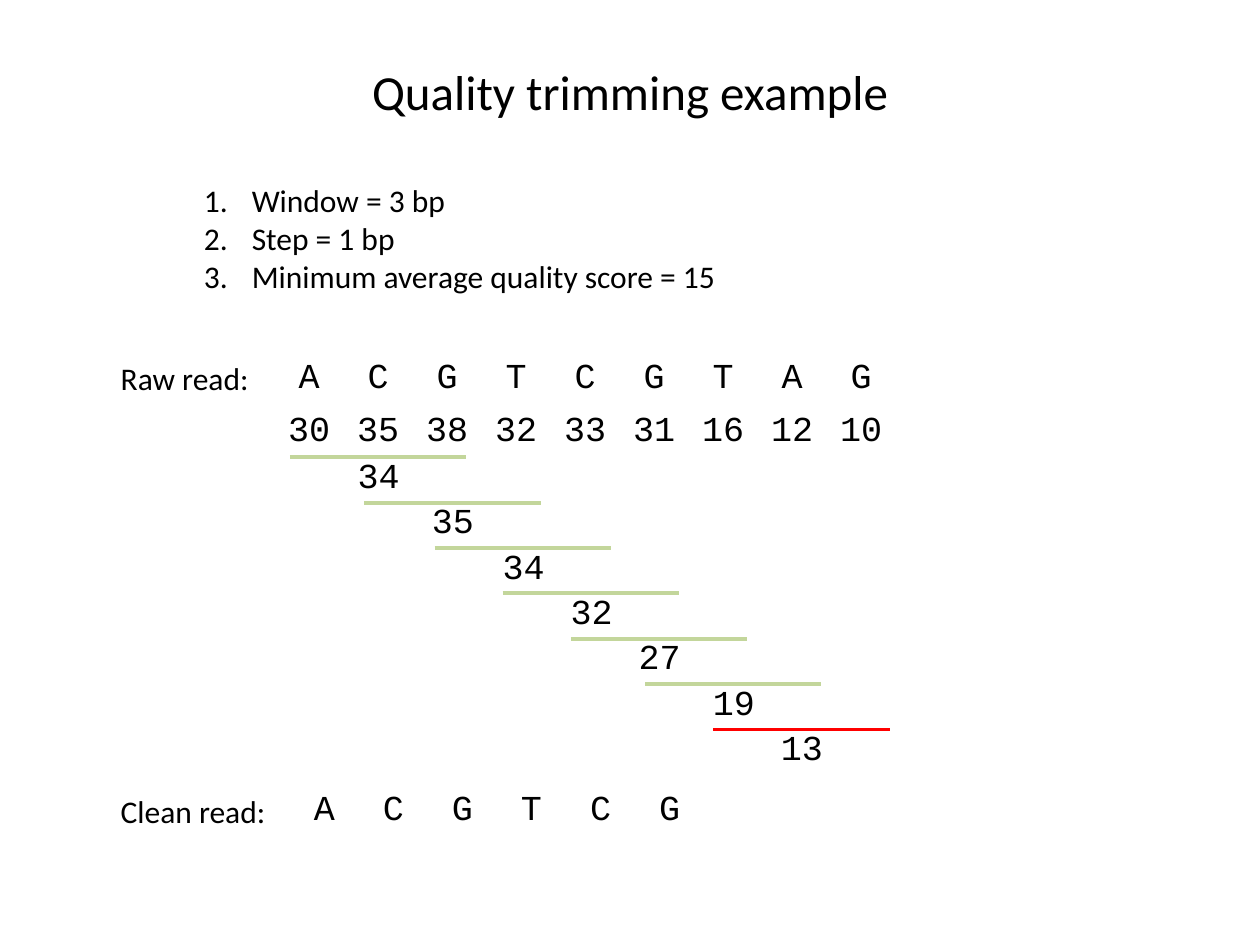
import pptx
import pptx.dml.color
import pptx.enum.shapes
import pptx.enum.text
import pptx.util
from lxml import etree
from pptx.oxml.ns import qn
from pptx.util import Inches

BLACK = pptx.dml.color.RGBColor(0x00, 0x00, 0x00)
GREEN = pptx.dml.color.RGBColor(0xC3, 0xD6, 0x9B)
RED = pptx.dml.color.RGBColor(0xFF, 0x00, 0x00)
CENTER = pptx.enum.text.PP_ALIGN.CENTER
MIDDLE = pptx.enum.text.MSO_ANCHOR.MIDDLE

MINIMUM_QUALITY = 15
BASES = "ACGTCGTAG"
QUALITIES = [30, 35, 38, 32, 33, 31, 16, 12, 10]
CLEAN_BASES = "ACGTCG"
# Left end of each sliding window and the average shown under it
WINDOWS = [(2.3, 34), (2.89, 35), (3.45, 34), (3.99, 32),
           (4.53, 27), (5.12, 19), (5.66, 13)]
WINDOW_TOP, WINDOW_STEP, WINDOW_WIDTH = 3.63, 0.36, 1.4


class SlideBuilder:
    text_font = "Calibri"
    read_font = "Courier New"
    read_size = 20

    def __init__(self, slide):
        self.slide = slide

    def add_run(self, paragraph, text, font, size):
        run = paragraph.add_run()
        run.text = text
        run.font.name = font
        run.font.size = pptx.util.Pt(size)
        run.font.color.rgb = BLACK

    def add_text(self, left, top, width, height, lines, size=18,
                 font=text_font, numbered=False):
        box = self.slide.shapes.add_textbox(
            Inches(left), Inches(top), Inches(width), Inches(height))
        frame = box.text_frame
        frame.word_wrap = False
        for index, line in enumerate(lines):
            paragraph = frame.add_paragraph() if index else frame.paragraphs[0]
            if numbered:
                self.number(paragraph)
            self.add_run(paragraph, line, font, size)
        return frame

    def number(self, paragraph):
        properties = paragraph._p.get_or_add_pPr()
        properties.set("marL", str(Inches(0.38)))
        properties.set("indent", str(-Inches(0.38)))
        etree.SubElement(properties, qn("a:buFont"), typeface="+mj-lt")
        etree.SubElement(properties, qn("a:buAutoNum"), type="arabicPeriod")

    def add_title(self, text):
        frame = self.add_text(0.5, 0.3, 9, 0.85, [text], size=28)
        frame.word_wrap = True
        frame.vertical_anchor = MIDDLE
        frame.paragraphs[0].alignment = CENTER

    def add_table(self, left, top, width, height, rows):
        table = self.slide.shapes.add_table(
            len(rows), len(rows[0]), Inches(left), Inches(top),
            Inches(width), Inches(height)).table
        table.first_row = False
        table.horz_banding = False
        for row_index, values in enumerate(rows):
            for column_index, value in enumerate(values):
                cell = table.cell(row_index, column_index)
                cell.fill.background()
                cell.vertical_anchor = MIDDLE
                cell.margin_left = cell.margin_right = Inches(0.01)
                cell.margin_top, cell.margin_bottom = Inches(0.01), 0
                paragraph = cell.text_frame.paragraphs[0]
                paragraph.alignment = CENTER
                self.add_run(paragraph, str(value), self.read_font, self.read_size)

    def add_window(self, left, top, average):
        """Draw the window's line, red below the minimum, and its average."""
        y = Inches(top)
        line = self.slide.shapes.add_connector(
            pptx.enum.shapes.MSO_CONNECTOR.STRAIGHT,
            Inches(left), y, Inches(left + WINDOW_WIDTH), y)
        line.line.color.rgb = RED if average < MINIMUM_QUALITY else GREEN
        line.line.width = pptx.util.Pt(2.25)
        etree.SubElement(line._element.spPr, qn("a:effectLst"))
        self.add_text(left + 0.44, top - 0.08, 0.54, 0.44, [str(average)],
                      size=self.read_size, font=self.read_font)


def main():
    presentation = pptx.Presentation()
    presentation.slide_width = Inches(10)
    presentation.slide_height = Inches(7.5)
    builder = SlideBuilder(
        presentation.slides.add_slide(presentation.slide_layouts[6]))

    builder.add_title("Quality trimming example")
    builder.add_table(2.18, 2.8, 4.93, 0.83, [BASES, QUALITIES])
    for index, (left, average) in enumerate(WINDOWS):
        builder.add_window(left, WINDOW_TOP + index * WINDOW_STEP, average)
    builder.add_text(1.52, 1.39, 4.3, 1.01, [
        "Window = 3 bp",
        "Step = 1 bp",
        f"Minimum average quality score = {MINIMUM_QUALITY}",
    ], numbered=True)
    builder.add_table(2.3, 6.22, 3.29, 0.42, [CLEAN_BASES])
    builder.add_text(0.86, 2.8, 1.23, 0.4, ["Raw read:"])
    builder.add_text(0.86, 6.24, 1.37, 0.4, ["Clean read:"])
    presentation.save("out.pptx")


if __name__ == "__main__":
    main()
